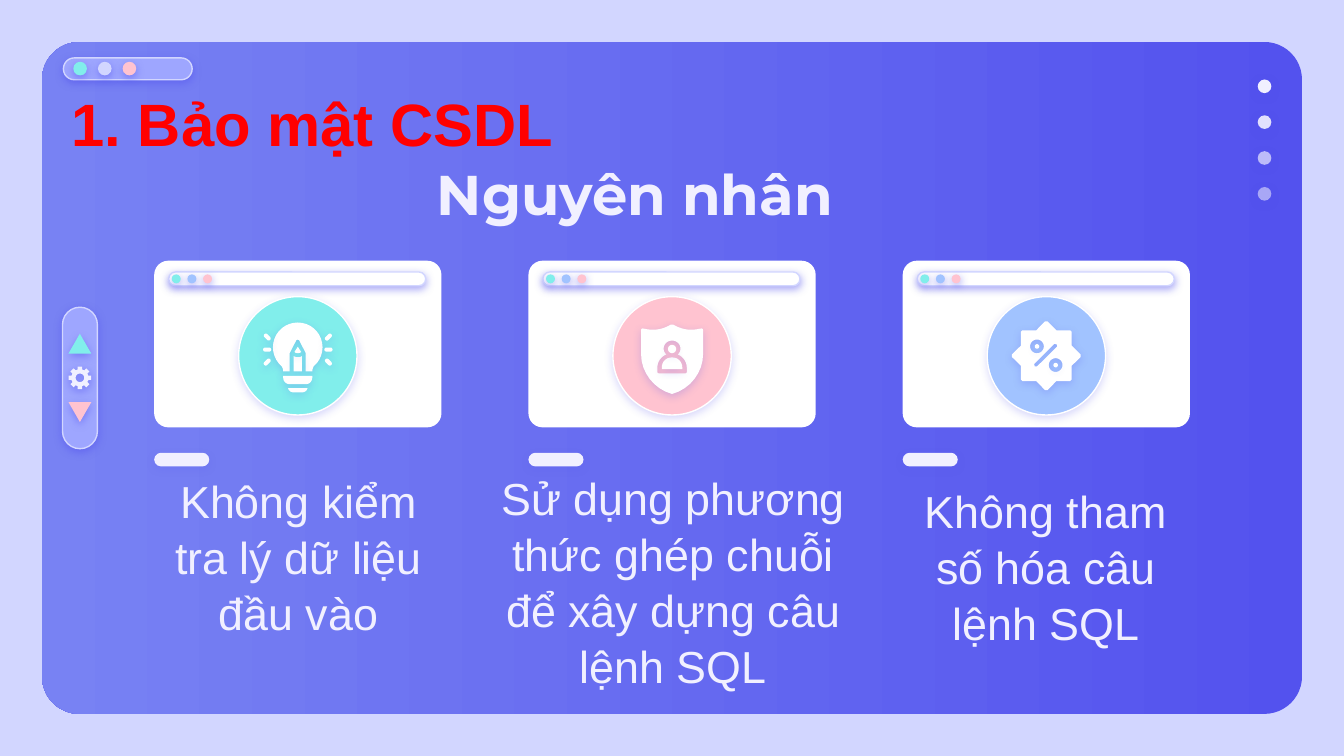
from dataclasses import dataclass
from math import cos, radians, sin

from lxml.etree import SubElement
from pptx import Presentation
from pptx.dml.color import RGBColor
from pptx.enum.shapes import MSO_SHAPE
from pptx.enum.text import MSO_ANCHOR, PP_ALIGN
from pptx.oxml.ns import qn
from pptx.util import Pt


@dataclass(frozen=True)
class Theme:
    lilac: str = "D2D6FF"
    indigo: str = "5352EE"
    violet: str = "7882F3"
    pill: str = "9EA6FF"
    mint: str = "81EEEB"
    pink: str = "FFC3D0"
    sky: str = "A1C3FF"
    pale: str = "F1F0FF"
    white: str = "FFFFFF"
    red: str = "FF0000"
    body_font: str = "Arial"
    title_font: str = "Montserrat"
    section_size: int = 32
    title_size: int = 30
    body_size: int = 24


THEME = Theme()
SECTION = ("1. Bảo mật CSDL", (5.8, 54.7, 323.3, 22.3))
TITLE = ("Nguyên nhân", (36.7, 78.5, 607, 45.4))
# Text, its box, badge colour, icon
CAUSES = [
    ("Không kiểm tra lý dữ liệu đầu vào", (74.2, 263.5, 171.4, 68.4), THEME.mint, "bulb"),
    ("Sử dụng phương thức ghép chuỗi để xây dựng câu lệnh SQL",
     (252.7, 266.4, 216, 89.3), THEME.pink, "shield"),
    ("Không tham số hóa câu lệnh SQL", (474.5, 268.6, 171.4, 68.4), THEME.sky, "percent"),
]
CARD_LEFT, CARD_TOP, CARD_WIDTH, CARD_HEIGHT, CARD_PITCH = 82.6, 139.7, 153.9, 89.3, 200.5
BADGE_CENTRE_Y, BADGE_SIZE = 190.6, 63.4
WINDOW_DOTS = [THEME.mint, THEME.lilac, THEME.pink]
CARD_DOTS = [THEME.mint, THEME.sky, THEME.pink]
MENU_ALPHAS = [100, 90, 67, 54]


def trace(*steps):
    """Turn points and cubic curves (six numbers) into a list of points."""
    points = []
    for step in steps:
        if len(step) == 2:
            points.append(step)
            continue
        (x0, y0), (x1, y1, x2, y2, x3, y3) = points[-1], step
        for t in (i / 8 for i in range(1, 9)):
            a, b, c, d = (1 - t) ** 3, 3 * t * (1 - t) ** 2, 3 * t * t * (1 - t), t ** 3
            points.append((a * x0 + b * x1 + c * x2 + d * x3, a * y0 + b * y1 + c * y2 + d * y3))
    return points


def mirrored(*steps):
    """Close a left half with its reflection in the vertical axis."""
    half = trace(*steps)
    return half + [(-x, y) for x, y in reversed(half)]


def polar(radius, degrees, x=0, y=0):
    return x + radius * cos(radians(degrees)), y + radius * sin(radians(degrees))


def circle(x, y, radius):
    return [polar(radius, angle, x, y) for angle in range(0, 360, 15)]


# Each icon is a list of shapes; each shape is a list of contours around the badge centre
BULB_DOME = [polar(13.3, angle, 0, -4.5) for angle in range(-90, -231, -10)]
ICONS = {
    "bulb": [
        [mirrored((0, -8.6), (-0.7, -8.4), (-4.3, -1.4), (-4.3, 8.4), (-7.8, 8.4),
                  (-7.8, 6.6, -9, 5, *BULB_DOME[-1]), *reversed(BULB_DOME))],
        [mirrored((0, 0.8), (-1, 0.8, -1.6, 0.5, -2.2, 0.2), (-2.2, 8.4))],
        [mirrored((0, -4.8), (-1.8, -2), (-1.2, -1.5, -0.6, -1.4, 0, -1.4))],
        [mirrored((-7.8, 10.8), (-7.8, 11.6), (-7.8, 13.6, -6.4, 15.2, -4.4, 15.2))],
        [mirrored((-5.2, 17.3), (-5, 18.6, -3.8, 19.6, -2.4, 19.6))],
    ],
    "shield": [
        [mirrored((0, -16.7), (-0.7, -16.6), (-3.6, -15, -6.8, -13.9, -10.1, -13.9),
                  (-12, -13.9, -13.5, -14.2, -15.6, -14.6), (-16.3, -14.6, -16.6, -14.2, -16.6, -13.7),
                  (-16.6, -0.7), (-16.6, 8.6, -10, 17.8, 0, 20.5)),
         mirrored((0, -8.1), (-2.6, -8.1, -4.5, -6.2, -4.5, -3.8), (-4.5, -2.5, -3.9, -1.4, -3.1, -0.7),
                  (-6, 0.6, -7.9, 3.2, -7.9, 6.5), (-7.9, 8.6), (-7.9, 9.2, -7.5, 9.5, -6.9, 9.5))],
        [mirrored((0, 0.9), (-3, 0.9, -5.5, 3, -5.5, 6.5), (-5.5, 7.2))],
        [circle(0, -3.6, 2.2)],
    ],
    "percent": [
        [[(x * cos(turn) - y * sin(turn), x * sin(turn) + y * cos(turn))
          for turn in map(radians, range(0, 360, 90))
          for x, y in [(-0.7, -18.4), (0.7, -18.4), (5.4, -13.6), (12.8, -13.6),
                       (13.6, -12.8), (13.6, -5.4)]],
         circle(-5, -5, 3.7), circle(5, 5, 3.7),
         [(4.3, -6.3), (5.5, -6.2), (5.9, -5), (-5, 5.8), (-6.2, 5.7), (-6.5, 4.5)]],
        [circle(-5, -5, 1.2)],
        [circle(5, 5, 1.2)],
    ],
}
GEAR = [[polar(radius, tooth + shift) for tooth in range(0, 360, 45)
         for radius, shift in [(4.6, -15), (6.1, -11), (6.1, 11), (4.6, 15)]],
        circle(0, 0, 2.3)]


def paint(shape, fill, line=None, shadow=None, alpha=100):
    """Set fill, outline and a soft shadow below; shadow and alpha are percentages."""
    shape.fill.solid()
    shape.fill.fore_color.rgb = RGBColor.from_string(fill)
    properties = shape._element.spPr
    if alpha < 100:
        colour = properties.find(qn("a:solidFill"))[0]
        SubElement(colour, qn("a:alpha"), val=str(alpha * 1000))
    if line:
        shape.line.color.rgb = RGBColor.from_string(line)
        shape.line.width = Pt(0.75)
    else:
        shape.line.fill.background()
    shape.shadow.inherit = False
    if shadow:
        outer = SubElement(properties.find(qn("a:effectLst")), qn("a:outerShdw"),
                           blurRad=str(Pt(4.5)), dist=str(Pt(1.5)), dir="5400000",
                           algn="bl", rotWithShape="0")
        colour = SubElement(outer, qn("a:srgbClr"), val=THEME.indigo)
        SubElement(colour, qn("a:alpha"), val=str(shadow * 1000))


def add_preset(slide, kind, box, fill, corner=None, rotation=0, **look):
    shape = slide.shapes.add_shape(kind, *map(Pt, box))
    if corner is not None:
        shape.adjustments[0] = corner
    shape.rotation = rotation
    paint(shape, fill, **look)
    return shape


def add_outline(slide, contours, x, y, fill, shadow):
    """Draw closed contours, given around (x, y), as one shape."""
    placed = [[(round((x + dx) * 100), round((y + dy) * 100)) for dx, dy in contour]
              for contour in contours]
    builder = slide.shapes.build_freeform(*placed[0][0], scale=Pt(1) / 100)
    for number, contour in enumerate(placed):
        if number:
            builder.move_to(*contour[0])
        builder.add_line_segments(contour[1:], close=True)
    paint(builder.convert_to_shape(), fill, shadow=shadow)


def add_dots(slide, colours, left, top, size, pitch):
    for number, colour in enumerate(colours):
        add_preset(slide, MSO_SHAPE.OVAL, (left + number * pitch, top, size, size), colour, shadow=50)


def add_text(slide, text, box, size, colour, font, bold=False, anchor=MSO_ANCHOR.MIDDLE,
             inset=7.2, spacing=1.0):
    frame = slide.shapes.add_textbox(*map(Pt, box)).text_frame
    margins = {f"margin_{side}": Pt(inset) for side in ("left", "right", "top", "bottom")}
    paragraph = frame.paragraphs[0]
    run = paragraph.add_run()
    run.text = text
    formats = [
        (frame, {"word_wrap": True, "vertical_anchor": anchor, **margins}),
        (paragraph, {"alignment": PP_ALIGN.CENTER, "line_spacing": spacing}),
        (run.font, {"size": Pt(size), "name": font, "bold": bold}),
    ]
    for target, values in formats:
        for name, value in values.items():
            setattr(target, name, value)
    run.font.color.rgb = RGBColor.from_string(colour)


def add_frame(slide):
    """Background panel, window buttons, menu dots and side scroller."""
    rounded, triangle = MSO_SHAPE.ROUNDED_RECTANGLE, MSO_SHAPE.ISOSCELES_TRIANGLE
    panel = add_preset(slide, rounded, (22.5, 22.5, 675, 360), THEME.indigo, 0.056)
    panel.fill.gradient()
    panel.fill.gradient_angle = 180
    for stop, colour in zip(panel.fill.gradient_stops, (THEME.indigo, THEME.violet)):
        stop.color.rgb = RGBColor.from_string(colour)
    add_preset(slide, rounded, (34, 31, 69, 11.7), THEME.pill, 0.5, line=THEME.lilac, shadow=50)
    add_dots(slide, WINDOW_DOTS, 39.3, 33.1, 7.3, 13.2)
    for number, alpha in enumerate(MENU_ALPHAS):
        add_preset(slide, MSO_SHAPE.OVAL, (673.8, 42.6 + number * 19.2, 7.3, 7.3), THEME.pale,
                   shadow=50, alpha=alpha)
    add_preset(slide, rounded, (33.5, 164.6, 18.7, 75.8), THEME.pill, 0.5,
               line=THEME.lilac, shadow=50)
    add_preset(slide, triangle, (36.7, 178.8, 12.2, 10.6), THEME.mint, shadow=50)
    add_preset(slide, triangle, (36.7, 215.5, 12.2, 10.6), THEME.pink, rotation=180, shadow=50)
    add_outline(slide, GEAR, 42.8, 202.4, THEME.pale, 52)


def add_cause(slide, left, text, box, colour, icon):
    rounded = MSO_SHAPE.ROUNDED_RECTANGLE
    centre = left + CARD_WIDTH / 2
    add_preset(slide, rounded, (left, CARD_TOP, CARD_WIDTH, CARD_HEIGHT), THEME.white, 0.085)
    add_preset(slide, rounded, (left + 7.8, CARD_TOP + 6, 137.7, 7.4), THEME.white, 0.5,
               line=THEME.lilac, shadow=50)
    add_dots(slide, CARD_DOTS, left + 9.4, CARD_TOP + 7.3, 4.8, 8.4)
    add_preset(slide, MSO_SHAPE.OVAL, (centre - BADGE_SIZE / 2, BADGE_CENTRE_Y - BADGE_SIZE / 2,
                                       BADGE_SIZE, BADGE_SIZE), colour, line=THEME.white, shadow=22)
    for contours in ICONS[icon]:
        add_outline(slide, contours, centre, BADGE_CENTRE_Y, THEME.white, 22)
    if icon == "bulb":
        for side in (-1, 1):
            for dy, tilt in [(-10, -45), (-3.3, 0), (3.4, 45)]:
                add_preset(slide, rounded, (centre + side * 16.4 - 2.2, BADGE_CENTRE_Y + dy - 1.1, 4.4, 2.2),
                           THEME.white, 0.5, rotation=side * tilt, shadow=22)
    add_preset(slide, rounded, (left, 242.6, 29.5, 7.3), THEME.pale, 0.5, shadow=15)
    add_text(slide, text, box, THEME.body_size, THEME.pale, THEME.body_font, spacing=1.04)


def main():
    deck = Presentation()
    deck.slide_width, deck.slide_height = Pt(720), Pt(405)
    slide = deck.slides.add_slide(deck.slide_layouts[6])
    slide.background.fill.solid()
    slide.background.fill.fore_color.rgb = RGBColor.from_string(THEME.lilac)
    add_frame(slide)
    for number, cause in enumerate(CAUSES):
        add_cause(slide, CARD_LEFT + number * CARD_PITCH, *cause)
    add_text(slide, *TITLE, THEME.title_size, THEME.pale, THEME.title_font, bold=True,
             anchor=MSO_ANCHOR.TOP)
    add_text(slide, *SECTION, THEME.section_size, THEME.red, THEME.body_font, bold=True, inset=0)
    deck.save("out.pptx")


if __name__ == "__main__":
    main()
